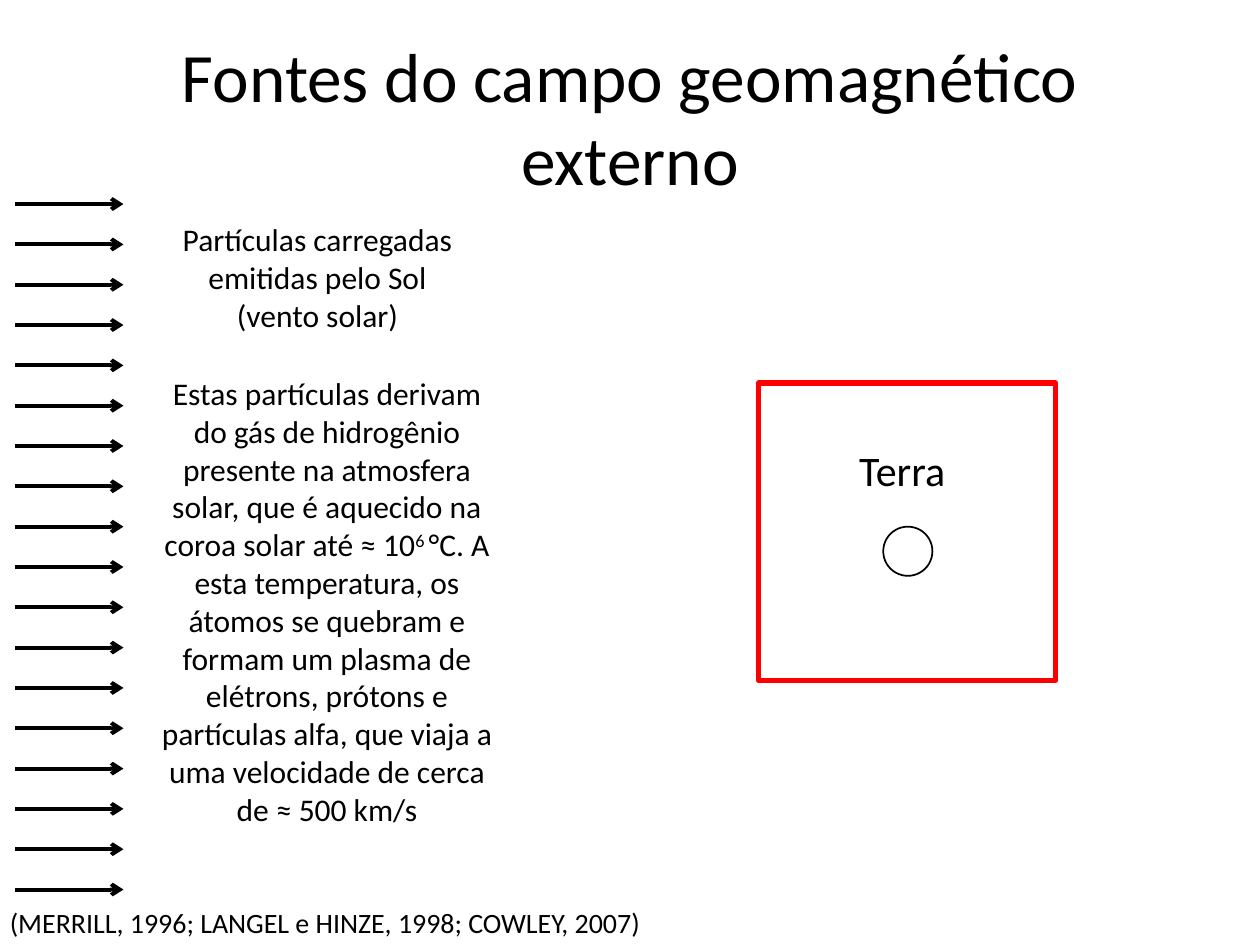
"""Build the slide on the sources of the external geomagnetic field."""
from lxml import etree
from pptx import Presentation
from pptx import util as u
from pptx.dml.color import RGBColor
from pptx.enum import shapes, text
from pptx.oxml.ns import qn

BLACK = RGBColor(0, 0, 0)
RED = RGBColor(255, 0, 0)
FONT = "Calibri"
CENTER, LEFT = text.PP_ALIGN.CENTER, text.PP_ALIGN.LEFT
TOP, MIDDLE = text.MSO_ANCHOR.TOP, text.MSO_ANCHOR.MIDDLE
SUPERSCRIPT = "6 "

TEXTS = [
    ((0.5, 0.3, 9, 1.25), 39.6, CENTER, MIDDLE,
     [["Fontes do campo geomagnético externo"]]),
    ((6.02, 3.48, 2.28, 0.5), 24, CENTER, TOP, [["Terra"]]),
    ((1.22, 1.7, 2.6, 1.01), 18, CENTER, TOP,
     [["Partículas carregadas emitidas pelo Sol"], ["(vento solar)"]]),
    ((1.14, 2.92, 2.91, 3.74), 18, CENTER, TOP,
     [["Estas partículas derivam do gás de hidrogênio presente na atmosfera "
       "solar, que é aquecido na coroa solar até ≈ 10",
       SUPERSCRIPT,
       "°C. A esta temperatura, os átomos se quebram e formam um plasma de "
       "elétrons, prótons e partículas alfa, que viaja a uma velocidade de "
       "cerca de ≈ 500 km/s"]]),
    ((-0.02, 7.14, 5.34, 0.37), 16, LEFT, TOP,
     [["(MERRILL, 1996; LANGEL e HINZE, 1998; COWLEY, 2007)"]]),
]
OUTLINES = [
    (shapes.MSO_SHAPE.OVAL, (7.01, 4.18, 0.39, 0.39), BLACK, 1),
    (shapes.MSO_SHAPE.RECTANGLE, (6.02, 3.04, 2.36, 2.36), RED, 3),
]
WIND_COUNT, WIND_TOP, WIND_STEP = 18, 1.62, 0.32
WIND_START, WIND_END = 0.12, 0.98


def inches(values):
    return [u.Inches(value) for value in values]


def add_text(slide, box, size, alignment, anchor, paragraphs):
    frame = slide.shapes.add_textbox(*inches(box)).text_frame
    frame.word_wrap = True
    frame.vertical_anchor = anchor
    for index, pieces in enumerate(paragraphs):
        paragraph = frame.add_paragraph() if index else frame.paragraphs[0]
        paragraph.alignment = alignment
        for piece in pieces:
            run = paragraph.add_run()
            run.text = piece
            run.font.name = FONT
            run.font.size = u.Pt(size)
            run.font.color.rgb = BLACK
            if piece == SUPERSCRIPT:
                run.font._element.set("baseline", "30000")


def add_outline(slide, kind, box, color, width):
    shape = slide.shapes.add_shape(kind, *inches(box))
    shape.shadow.inherit = False
    shape.fill.background()
    shape.line.color.rgb = color
    shape.line.width = u.Pt(width)


def add_wind_arrow(slide, y):
    arrow = slide.shapes.add_connector(
        shapes.MSO_CONNECTOR.STRAIGHT, *inches((WIND_START, y, WIND_END, y)))
    arrow.line.color.rgb = BLACK
    arrow.line.width = u.Pt(2.25)
    properties = arrow._element.spPr
    etree.SubElement(properties.find(qn("a:ln")), qn("a:tailEnd"), type="arrow")
    etree.SubElement(properties, qn("a:effectLst"))


def main():
    presentation = Presentation()
    presentation.slide_width, presentation.slide_height = inches((10, 7.5))
    slide = presentation.slides.add_slide(presentation.slide_layouts[6])
    for row in range(WIND_COUNT):
        add_wind_arrow(slide, WIND_TOP + row * WIND_STEP)
    for outline in OUTLINES:
        add_outline(slide, *outline)
    for entry in TEXTS:
        add_text(slide, *entry)
    presentation.save("out.pptx")


if __name__ == "__main__":
    main()
